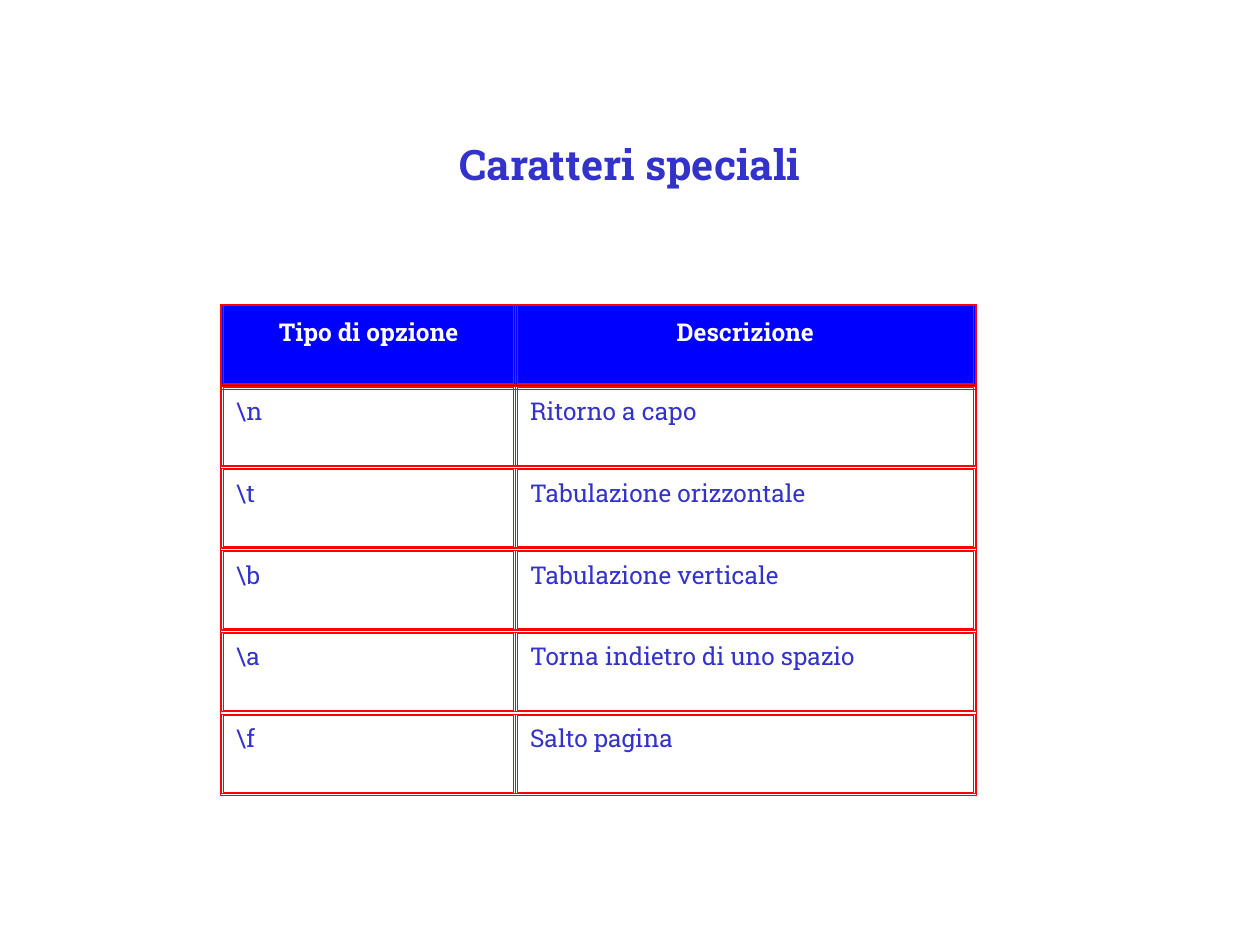
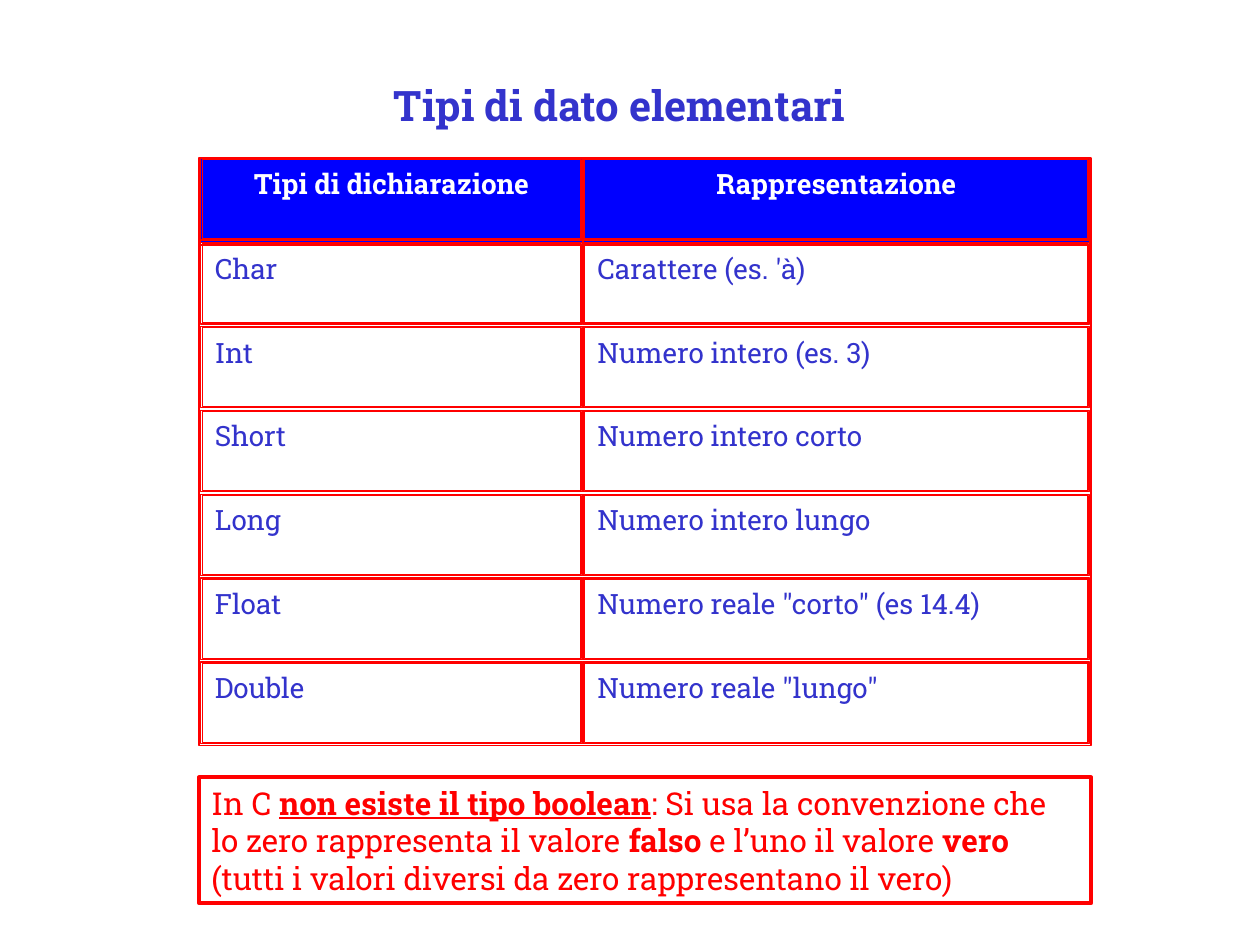
from itertools import accumulate

from pptx import Presentation
from pptx import util as u
from pptx.dml.color import RGBColor
from pptx.enum import shapes, text

BLUE_TEXT = RGBColor(0x33, 0x33, 0xCC)
HEADER_BLUE = RGBColor(0x00, 0x00, 0xFF)
RED = RGBColor(0xFF, 0x00, 0x00)
WHITE = RGBColor(0xFF, 0xFF, 0xFF)
FONT = "Roboto Slab"

WIDTH, HEIGHT = u.Inches(10), u.Inches(7.5)
COLUMNS, ROWS = 100, 75
UNIT = WIDTH // COLUMNS          # the grid is square: HEIGHT // ROWS is the same
LINE_HEIGHT = 1.2                # of the font size
GAP = 0.2                        # between neighbouring cells
INSET = 0.15                     # from a cell's outer frame to its inner one
PAD_X, PAD_Y = 1.15, 0.6
PLAIN_TABLE = "{2D5ABB26-0587-4C30-8999-92F81FD0307C}"

SPECIAL_CHARACTERS = [
    ("Tipo di opzione", "Descrizione"),
    (r"\n", "Ritorno a capo"),
    (r"\t", "Tabulazione orizzontale"),
    (r"\b", "Tabulazione verticale"),
    (r"\a", "Torna indietro di uno spazio"),
    (r"\f", "Salto pagina"),
]
DATA_TYPES = [
    ("Tipi di dichiarazione", "Rappresentazione"),
    ("Char", "Carattere (es. 'à)"),
    ("Int", "Numero intero (es. 3)"),
    ("Short", "Numero intero corto"),
    ("Long", "Numero intero lungo"),
    ("Float", 'Numero reale "corto" (es 14.4)'),
    ("Double", 'Numero reale "lungo"'),
]
BOOLEAN_NOTE = [
    ("In C ", False, False),
    ("non esiste il tipo boolean", True, True),
    (": Si usa la convenzione che lo zero rappresenta il valore ", False, False),
    ("falso", True, False),
    (" e l’uno il valore ", False, False),
    ("vero", True, False),
    (" (tutti i valori diversi da zero rappresentano il vero)", False, False),
]


def grid(*lengths):
    """Turn grid units into EMU."""
    return [u.Emu(round(length * UNIT)) for length in lengths]


def add_run(paragraph, words, size, color, bold=False, underline=False):
    run = paragraph.add_run()
    run.text = words
    font = run.font
    font.name, font.size, font.bold = FONT, u.Pt(size), bold
    font.underline = underline
    font.color.rgb = color


def add_frame(slide, box, weight=0.75):
    """Add an unfilled red rectangle."""
    frame = slide.shapes.add_shape(shapes.MSO_SHAPE.RECTANGLE, *grid(*box))
    frame.shadow.inherit = False
    frame.fill.background()
    frame.line.color.rgb = RED
    frame.line.width = u.Pt(weight)
    return frame


def add_title(slide, box, words):
    title = slide.shapes.add_textbox(*grid(*box)).text_frame
    title.word_wrap = True
    title.vertical_anchor = text.MSO_ANCHOR.MIDDLE
    title.paragraphs[0].alignment = text.PP_ALIGN.CENTER
    add_run(title.paragraphs[0], words, 24, BLUE_TEXT, bold=True)


def fill_cell(cell, words, size, is_header, top_margin):
    cell.margin_left, cell.margin_right, cell.margin_top, cell.margin_bottom = grid(
        PAD_X, PAD_X, top_margin, 0)
    paragraph = cell.text_frame.paragraphs[0]
    if is_header:
        cell.fill.solid()
        cell.fill.fore_color.rgb = HEADER_BLUE
        paragraph.alignment = text.PP_ALIGN.CENTER
    else:
        cell.fill.background()
    add_run(paragraph, words, size, WHITE if is_header else BLUE_TEXT, bold=is_header)


def add_framed_table(slide, box, entries, first_share, size):
    """Add a two-column table whose cells each have a double red frame."""
    left, top, width, height = box
    pitch = height / len(entries)
    widths = [width * first_share, width * (1 - first_share)]
    lefts = list(accumulate(widths[:-1], initial=left))

    graphic = slide.shapes.add_table(len(entries), 2, *grid(*box))
    table = graphic.table
    table.horz_banding = False
    for style in graphic._element.xpath(".//a:tableStyleId"):
        style.text = PLAIN_TABLE
    for column, column_width in zip(table.columns, grid(*widths)):
        column.width = column_width

    # Headings sit on the upper of two centred lines.
    cell_height = pitch - GAP
    two_lines = 2 * LINE_HEIGHT * u.Pt(size) / UNIT
    header_margin = (cell_height - two_lines) / 2
    for row, entry in enumerate(entries):
        is_header = row == 0
        y = top + row * pitch
        for column, words in enumerate(entry):
            x, w = lefts[column], widths[column]
            fill_cell(table.cell(row, column), words, size, is_header,
                      header_margin if is_header else PAD_Y)
            add_frame(slide, (x, y, w, cell_height), 0)
            add_frame(slide, (x + INSET, y + INSET / 2, w - 2 * INSET,
                              cell_height - INSET))
            if is_header:
                add_frame(slide, (x, y, w, pitch + GAP))
    add_frame(slide, (left - 0.1, top - 0.05, width + 0.2, height))


def add_note(slide, box, runs):
    note = add_frame(slide, box, 2.25).text_frame
    note.word_wrap = True
    note.vertical_anchor = text.MSO_ANCHOR.TOP
    note.paragraphs[0].alignment = text.PP_ALIGN.LEFT
    for words, bold, underline in runs:
        add_run(note.paragraphs[0], words, 18, RED, bold, underline)


def special_characters_slide(slide):
    add_title(slide, (7.5, 6.7, 85, 12.5), "Caratteri speciali")
    add_framed_table(slide, (17.6, 24.2, 59.8, 39), SPECIAL_CHARACTERS, 0.39, 14)


def data_types_slide(slide):
    add_title(slide, (6.7, 4.2, 85, 8.3), "Tipi di dato elementari")
    add_framed_table(slide, (15.9, 12.6, 70.6, 46.6), DATA_TYPES, 0.43, 16)
    add_note(slide, (15.8, 61.7, 70.8, 10), BOOLEAN_NOTE)


def main():
    deck = Presentation()
    deck.slide_width, deck.slide_height = WIDTH, HEIGHT
    blank = deck.slide_layouts[6]
    for build in (special_characters_slide, data_types_slide):
        build(deck.slides.add_slide(blank))
    deck.save("out.pptx")


if __name__ == "__main__":
    main()
